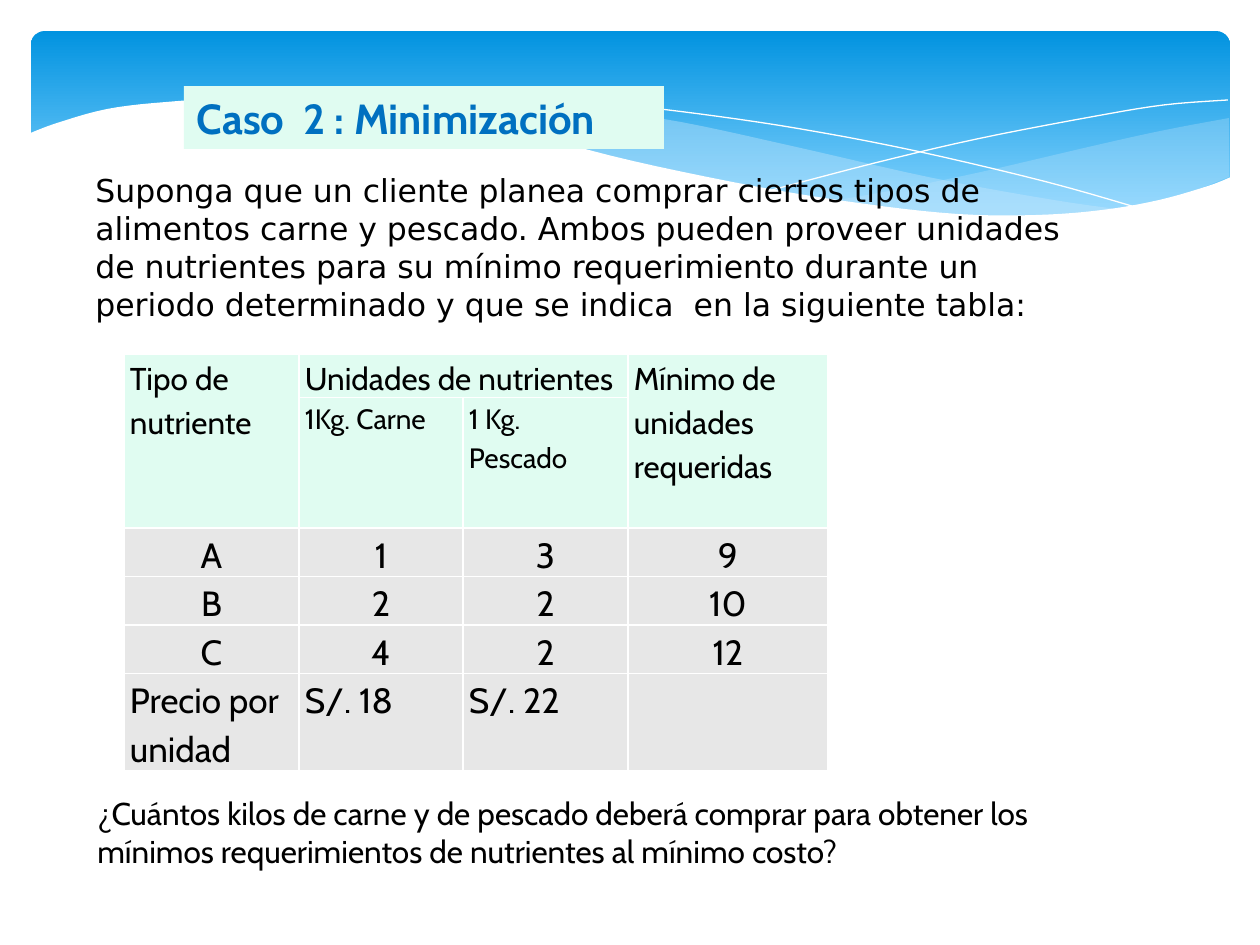
from lxml.etree import SubElement
from pptx import Presentation
from pptx.dml.color import RGBColor
from pptx.enum.shapes import MSO_SHAPE
from pptx.enum.text import MSO_ANCHOR as Anchor, PP_ALIGN as Align
from pptx.oxml.ns import qn
from pptx.util import Emu, Pt

EMU_PER_PX = 914400 / 126
STEPS = 5

WHITE = RGBColor(0xFF, 0xFF, 0xFF)
BLACK = RGBColor(0x00, 0x00, 0x00)
SKY_TOP = RGBColor(0x02, 0x93, 0xE0)
SKY_BOTTOM = RGBColor(0x83, 0xD3, 0xFE)
PALE_BLUE = RGBColor(0xC6, 0xE7, 0xFC)
MINT = RGBColor(0xE0, 0xFC, 0xF1)
GREY = RGBColor(0xE7, 0xE7, 0xE7)
TITLE_BLUE = RGBColor(0x00, 0x70, 0xC0)

BODY_FONT = "Cabin"
STATEMENT_FONT = "DejaVu Sans"

RIGHT_WAVE = [
    [(801, 170), (857, 176), (922, 183), (994, 185), (1067, 181), (1138, 168), (1198, 146)],
    [(1198, 87), (1129, 100), (1053, 117), (950, 141), (858, 160), (801, 170)],
]
LONG_WAVE = [
    [(329, 77), (399, 87), (478, 102), (587, 127), (704, 152), (788, 168),
     (878, 180), (971, 186), (1037, 185), (1094, 179)],
    [(1094, 179), (1023, 169), (902, 147), (761, 115), (650, 91), (554, 77),
     (471, 69), (402, 69), (329, 77)],
]
FALLING_LINE = [[(358, 82), (413, 74), (493, 71), (585, 74), (669, 83),
                 (770, 98), (885, 120), (1016, 151), (1111, 178)]]
RISING_LINE = [[(741, 159), (844, 132), (946, 108), (1060, 86), (1133, 74), (1197, 69)]]
WHITE_WAVE = [
    [(-3, 103), (26, 92), (76, 78), (135, 71), (212, 67), (310, 72), (397, 84),
     (495, 103), (602, 130), (728, 156), (835, 173), (927, 183), (1005, 184),
     (1071, 179), (1128, 169), (1177, 155), (1200, 146)],
    [(1200, 250), (-3, 250)],
]

TITLE = "Caso  2 : Minimización"
STATEMENT = (
    "Suponga que un cliente planea comprar ciertos tipos de alimentos carne y pescado. "
    "Ambos pueden proveer unidades de nutrientes para su mínimo requerimiento durante un "
    "periodo determinado y que se indica  en la siguiente tabla:"
)
QUESTION = (
    "¿Cuántos kilos de carne y de pescado deberá comprar para obtener los mínimos "
    "requerimientos de nutrientes al mínimo costo?"
)
ROWS = [
    ["Tipo de nutriente", "Unidades de nutrientes", "", "Mínimo de unidades requeridas"],
    ["", "1Kg. Carne", "1 Kg. Pescado", ""],
    ["A", "1", "3", "9"],
    ["B", "2", "2", "10"],
    ["C", "4", "2", "12"],
    ["Precio por unidad", "S/. 18", "S/. 22", ""],
]
ROW_SIZES = [18, 16, 20, 20, 20, 20]
ROW_HEIGHTS = [43, 130, 48, 49, 48, 96]
COLUMN_WIDTHS = [175, 164, 165, 200]


def px(value):
    return Emu(round(value * EMU_PER_PX))


def spline(knots):
    if len(knots) < 3:
        return knots
    padded = [knots[0], *knots, knots[-1]]
    points = []
    for a, b, c, d in zip(padded, padded[1:], padded[2:], padded[3:]):
        for step in range(STEPS):
            t = step / STEPS
            points.append(tuple(
                q + t * (r - p + t * (2 * p - 5 * q + 4 * r - s + t * (3 * q - p - 3 * r + s))) / 2
                for p, q, r, s in zip(a, b, c, d)
            ))
    return points + [knots[-1]]


def add_curve(slide, box, curves, closed):
    left, top = box[:2]
    points = [(px(left + x), px(top + y)) for curve in curves for x, y in spline(curve)]
    builder = slide.shapes.build_freeform(*points[0])
    builder.add_line_segments(points[1:], close=closed)
    shape = builder.convert_to_shape()
    shape.shadow.inherit = False
    return shape


def add_wave(slide, box, curves, color, opacity=100):
    shape = add_curve(slide, box, curves, True)
    shape.fill.solid()
    shape.fill.fore_color.rgb = color
    shape.line.fill.background()
    if opacity < 100:
        color_element = shape.fill._xPr.find(qn("a:solidFill"))[0]
        SubElement(color_element, qn("a:alpha")).set("val", str(opacity * 1000))


def add_wave_line(slide, box, curves):
    shape = add_curve(slide, box, curves, False)
    shape.fill.background()
    shape.line.color.rgb = WHITE
    shape.line.width = Pt(0)


def add_banner(slide, box):
    sky = slide.shapes.add_shape(MSO_SHAPE.ROUNDED_RECTANGLE, *map(px, box))
    sky.adjustments[0] = 0.07
    sky.shadow.inherit = False
    sky.line.fill.background()
    sky.fill.gradient()
    sky.fill.gradient_angle = 270
    stops = zip(sky.fill.gradient_stops, [(0, SKY_TOP), (0.9, SKY_BOTTOM)])
    for stop, (position, color) in stops:
        stop.position = position
        stop.color.rgb = color
    add_wave(slide, box, RIGHT_WAVE, PALE_BLUE, 29)
    add_wave(slide, box, LONG_WAVE, PALE_BLUE, 40)
    add_wave_line(slide, box, FALLING_LINE)
    add_wave_line(slide, box, RISING_LINE)
    add_wave(slide, box, WHITE_WAVE, WHITE)


def format_paragraph(paragraph, size, color=BLACK, font=BODY_FONT, bold=False, align=Align.LEFT):
    paragraph.alignment = align
    paragraph.font.name = font
    paragraph.font.size = Pt(size)
    paragraph.font.bold = bold
    paragraph.font.color.rgb = color


def place_title(slide, box):
    title = slide.shapes.title
    title.left, title.top, title.width, title.height = map(px, box)
    title.fill.solid()
    title.fill.fore_color.rgb = MINT
    frame = title.text_frame
    frame.text = TITLE
    frame.word_wrap = False
    frame.vertical_anchor = Anchor.TOP
    format_paragraph(frame.paragraphs[0], 24, TITLE_BLUE, bold=True)
    slide.shapes._spTree.append(title._element)


def add_text(slide, box, text, font):
    frame = slide.shapes.add_textbox(*map(px, box)).text_frame
    frame.word_wrap = True
    frame.text = text
    format_paragraph(frame.paragraphs[0], 18, font=font)


def add_nutrient_table(slide, box):
    table = slide.shapes.add_table(len(ROWS), len(COLUMN_WIDTHS), *map(px, box)).table
    table.first_row = False
    table.horz_banding = False
    for column, width in zip(table.columns, COLUMN_WIDTHS):
        column.width = px(width)
    for index, (row, height) in enumerate(zip(table.rows, ROW_HEIGHTS)):
        row.height = px(height)
        align = Align.CENTER if 2 <= index <= 4 else Align.LEFT
        for cell, text in zip(row.cells, ROWS[index]):
            cell.margin_left = cell.margin_right = px(6)
            cell.margin_top = cell.margin_bottom = 0
            cell.fill.solid()
            cell.fill.fore_color.rgb = MINT if index < 2 else GREY
            cell.text = text
            paragraph = cell.text_frame.paragraphs[0]
            paragraph.line_spacing = 1.15
            format_paragraph(paragraph, ROW_SIZES[index], align=align)
    for first, last in [((0, 0), (1, 0)), ((0, 1), (0, 2)), ((0, 3), (1, 3))]:
        table.cell(*first).merge(table.cell(*last))


def main():
    presentation = Presentation()
    presentation.slide_width = px(1260)
    presentation.slide_height = px(945)
    slide = presentation.slides.add_slide(presentation.slide_layouts[5])
    add_banner(slide, (31, 31, 1199, 197))
    place_title(slide, (184, 86, 480, 63))
    add_text(slide, (83, 165, 1013, 165), STATEMENT, STATEMENT_FONT)
    add_nutrient_table(slide, (124, 354, sum(COLUMN_WIDTHS), sum(ROW_HEIGHTS)))
    add_text(slide, (85, 788, 1012, 89), QUESTION, BODY_FONT)
    presentation.save("out.pptx")


if __name__ == "__main__":
    main()
